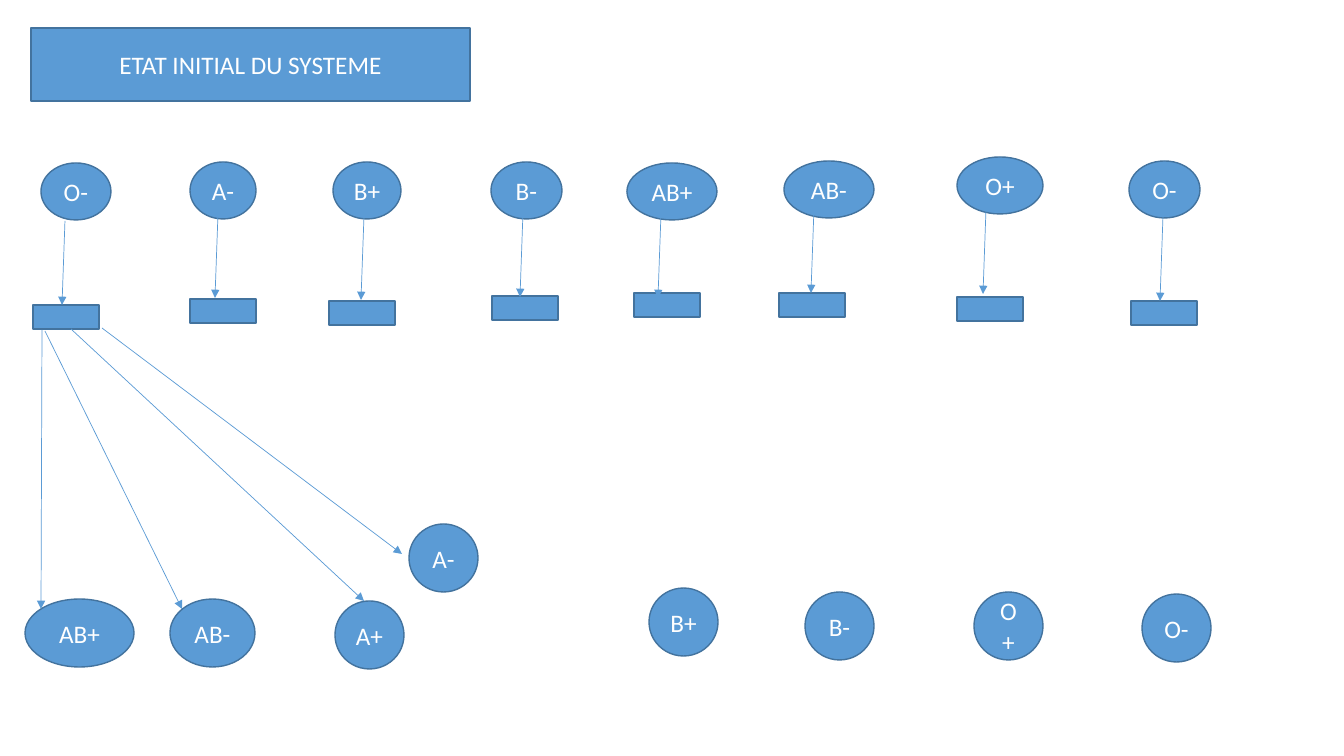
import pptx
import pptx.util
import pptx.dml.color
import pptx.enum.shapes
import pptx.enum.text
import pptx.oxml.ns
import lxml.etree

RGB = pptx.dml.color.RGBColor
BLUE = RGB(0x5B, 0x9B, 0xD5)
EDGE = RGB(0x43, 0x73, 0x9E)
WHITE = RGB(0xFF, 0xFF, 0xFF)

TITLE = ("ETAT INITIAL DU SYSTEME", 31, 28, 439, 73)

# blood group, ellipse (left, top, width), stock box (left, top), arrow start (x, y)
DONORS = [
    ("O-", (41, 163, 70), (33, 305), (65, 221)),
    ("A-", (190, 162, 66), (190, 299), (218, 214)),
    ("B+", (333, 162, 68), (329, 301), (364, 216)),
    ("B-", (491, 162, 71), (492, 296), (523, 213)),
    ("AB+", (627, 163, 90), (634, 293), (661, 214)),
    ("AB-", (784, 161, 90), (779, 293), (814, 209)),
    ("O+", (957, 157, 86), (957, 297), (986, 210)),
    ("O-", (1129, 161, 71), (1131, 301), (1163, 217)),
]
DONOR_H = 57
BOX_W, BOX_H = 66, 24
ARROW_DX, ARROW_DY = -3, 84

# blood group, left, top, width
RECIPIENTS = [
    ("AB+", 25, 599, 109),
    ("AB-", 170, 599, 85),
    ("A+", 335, 601, 69),
    ("A-", 409, 524, 69),
    ("B+", 649, 588, 69),
    ("B-", 805, 592, 69),
    ("O+", 974, 592, 69),
    ("O-", 1142, 594, 69),
]
RECIPIENT_H = 68

# start x, y, end x, y
DELIVERIES = [
    (42, 330, 41, 609),
    (45, 331, 182, 609),
    (71, 329, 364, 601),
    (102, 328, 402, 554),
]

FONT = {"name": "Calibri", "size": pptx.util.Pt(18), "bold": False}


def px(*lengths):
    return [round(n * 914400 / 100.8) for n in lengths]


def style(sp, text=""):
    sp.fill.solid()
    sp.fill.fore_color.rgb = BLUE
    sp.line.color.rgb = EDGE
    sp.line.width = pptx.util.Pt(1)
    if not text:
        return
    tf = sp.text_frame
    tf.word_wrap = True
    tf.auto_size = pptx.enum.text.MSO_AUTO_SIZE.NONE
    tf.vertical_anchor = pptx.enum.text.MSO_ANCHOR.MIDDLE
    p = tf.paragraphs[0]
    p.alignment = pptx.enum.text.PP_ALIGN.CENTER
    r = p.add_run()
    r.text = text
    for key, value in FONT.items():
        setattr(r.font, key, value)
    r.font.color.rgb = WHITE


def add_block(s, kind, left, top, width, height, text=""):
    sp = s.shapes.add_shape(kind, *px(left, top, width, height))
    sp.shadow.inherit = False
    style(sp, text)


def add_arrow(s, x1, y1, x2, y2):
    straight = pptx.enum.shapes.MSO_CONNECTOR.STRAIGHT
    c = s.shapes.add_connector(straight, *px(x1, y1, x2, y2))
    c.line.color.rgb = BLUE
    c.line.width = pptx.util.Pt(0.5)
    qn = pptx.oxml.ns.qn
    lxml.etree.SubElement(c.line._get_or_add_ln(), qn("a:tailEnd"), type="triangle")
    lxml.etree.SubElement(c._element.spPr, qn("a:effectLst"))


def main():
    prs = pptx.Presentation()
    prs.slide_width, prs.slide_height = px(1344, 756)
    s = prs.slides.add_slide(prs.slide_layouts[5])
    rect = pptx.enum.shapes.MSO_SHAPE.RECTANGLE
    oval = pptx.enum.shapes.MSO_SHAPE.OVAL

    text, *place = TITLE
    title = s.shapes.title
    title.left, title.top, title.width, title.height = px(*place)
    style(title, text)

    for group, ellipse, box, start in DONORS:
        add_block(s, oval, *ellipse, DONOR_H, group)
        add_block(s, rect, *box, BOX_W, BOX_H)
        x, y = start
        add_arrow(s, x, y, x + ARROW_DX, y + ARROW_DY)
    for group, left, top, width in RECIPIENTS:
        add_block(s, oval, left, top, width, RECIPIENT_H, group)
    for delivery in DELIVERIES:
        add_arrow(s, *delivery)

    prs.save("out.pptx")


if __name__ == "__main__":
    main()
